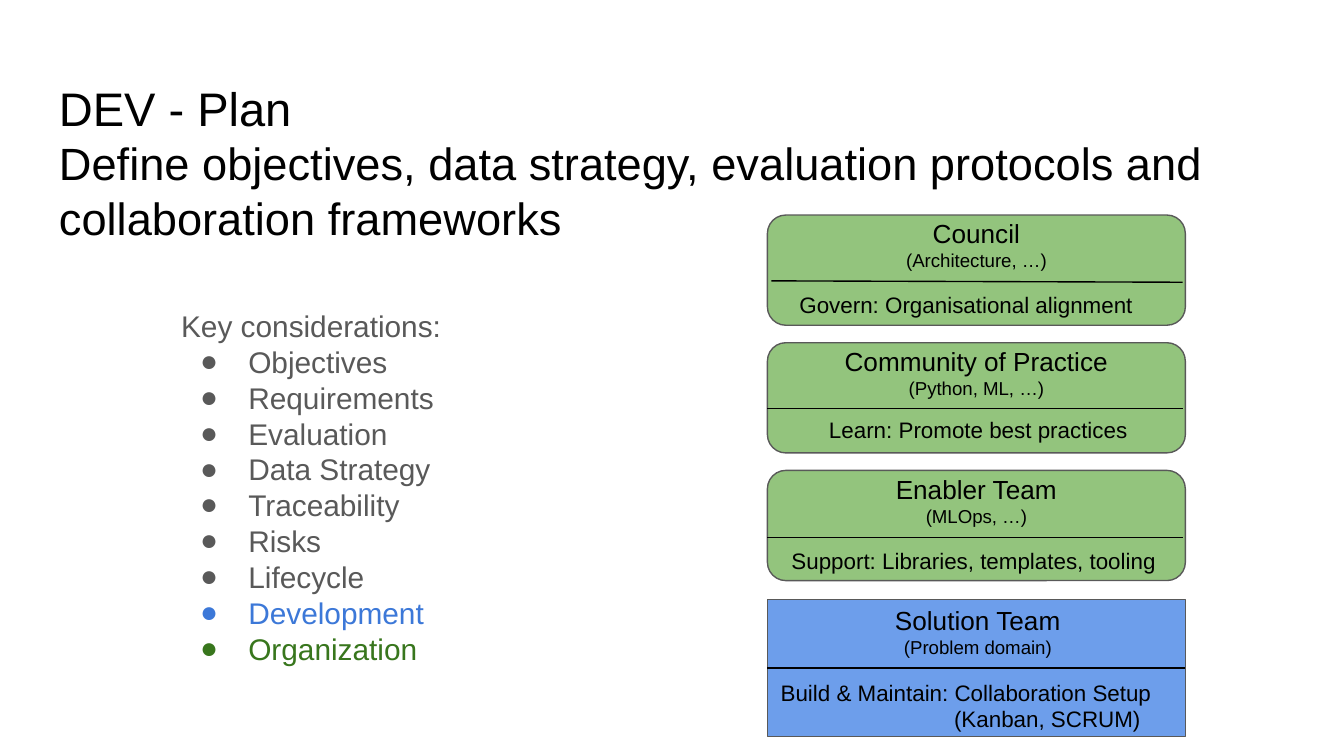
from lxml.etree import SubElement
from pptx import Presentation
from pptx.dml.color import RGBColor
from pptx.enum.shapes import MSO_CONNECTOR as CONNECTOR, MSO_SHAPE as SHAPE
from pptx.enum.text import MSO_ANCHOR as ANCHOR, PP_ALIGN as ALIGN
from pptx.oxml.ns import qn
from pptx.util import Inches, Pt

BLACK, GREY, BLUE, GREEN = "000000", "595959", "3C78D8", "38761D"
rgb = RGBColor.from_string


def write(frame, paragraphs, align=ALIGN.LEFT, anchor=ANCHOR.TOP, top=0.1, bottom=0.1):
    """Fill a frame; each paragraph is a list of (text, size, colour) lines."""
    layout = {
        "word_wrap": True, "vertical_anchor": anchor,
        "margin_left": Inches(0.1), "margin_right": Inches(0.1),
        "margin_top": Inches(top), "margin_bottom": Inches(bottom),
    }
    for name, value in layout.items():
        setattr(frame, name, value)
    for i, lines in enumerate(paragraphs):
        paragraph = frame.add_paragraph() if i else frame.paragraphs[0]
        paragraph.alignment = align
        for j, (text, size, colour) in enumerate(lines):
            if j:
                paragraph.add_line_break()
            run = paragraph.add_run()
            run.text = text
            for name, value in {"name": "Arial", "size": Pt(size)}.items():
                setattr(run.font, name, value)
            run.font.color.rgb = rgb(colour)
    return frame.paragraphs


def divide(shapes, x1, y1, x2, y2):
    """Draw a thin black divider."""
    divider = shapes.add_connector(
        CONNECTOR.STRAIGHT, Inches(x1), Inches(y1), Inches(x2), Inches(y2))
    divider.line.color.rgb = rgb(BLACK)
    divider.line.width = Pt(0.75)
    SubElement(divider._element.spPr, qn("a:effectLst"))


# Widescreen 16:9 slide
deck = Presentation()
deck.slide_width, deck.slide_height = Inches(10), Inches(10) * 9 // 16
slide = deck.slides.add_slide(deck.slide_layouts[6])
shapes = slide.shapes

# Title
title = shapes.add_textbox(Inches(0.34), Inches(0.49), Inches(9.32), Inches(0.63))
write(title.text_frame, [[
    ("DEV - Plan", 25.2, BLACK),
    ("Define objectives, data strategy, evaluation protocols and "
     "collaboration frameworks", 24.2, BLACK),
]])

# Key considerations
topics = [(topic, 16, GREY) for topic in (
    "Objectives", "Requirements", "Evaluation", "Data Strategy",
    "Traceability", "Risks", "Lifecycle")]
topics += [("Development", 16, BLUE), ("Organization", 16, GREEN)]
considerations = shapes.add_textbox(
    Inches(1.25), Inches(2.19), Inches(3.83), Inches(2.92))
entries = write(considerations.text_frame,
                [[line] for line in [("Key considerations:", 16, GREY)] + topics])
for entry, (_, _, colour) in zip(entries[1:], topics):
    props = entry._p.get_or_add_pPr()
    props.set("marL", str(Inches(0.5)))
    props.set("indent", str(Inches(-0.36)))
    SubElement(SubElement(props, qn("a:buClr")), qn("a:srgbClr"), val=colour)
    SubElement(props, qn("a:buFont"), typeface="Arial")
    SubElement(props, qn("a:buChar"), char="●")

# Supporting teams: name, scope, role, role box (left, top, width), divider
teams = [
    ("Council", "(Architecture, …)", "Govern: Organisational alignment",
     (5.85, 2.07, 2.83), (5.74, 2.09, 8.8, 2.1)),
    ("Community of Practice", "(Python, ML, …)", "Learn: Promote best practices",
     (6.07, 3, 2.64), (5.71, 3.04, 8.8, 3.04)),
    ("Enabler Team", "(MLOps, …)", "Support: Libraries, templates, tooling",
     (5.79, 3.97, 2.92), (5.71, 4, 8.8, 4)),
]
cards = []
for i, (name, scope, role, (left, top, width), ends) in enumerate(teams):
    card = shapes.add_shape(SHAPE.ROUNDED_RECTANGLE, Inches(5.71),
                            Inches(1.6 + 0.95 * i), Inches(3.11), Inches(0.82))
    write(card.text_frame, [[(name, 14, BLACK), (scope, 10, BLACK)]],
          ALIGN.CENTER, ANCHOR.MIDDLE, 0, 0.38)
    cards.append((card, "93C47D"))
    divide(shapes, *ends)
    duty = shapes.add_textbox(Inches(left), Inches(top), Inches(width), Inches(0.36))
    write(duty.text_frame, [[(role, 12, BLACK)]])

# Solution team
solution = shapes.add_group_shape()
block = solution.shapes.add_shape(
    SHAPE.RECTANGLE, Inches(5.71), Inches(4.46), Inches(3.11), Inches(1.02))
cards.append((block, "6D9EEB"))
divide(solution.shapes, 5.71, 4.97, 8.82, 4.97)

heading = shapes.add_textbox(Inches(6.07), Inches(4.4), Inches(2.41), Inches(0.7))
write(heading.text_frame,
      [[("Solution Team", 14, BLACK), ("(Problem domain)", 10, BLACK)]], ALIGN.CENTER)

# The second line hangs under "Collaboration"
build = shapes.add_textbox(Inches(5.71), Inches(4.95), Inches(3.12), Inches(0.36))
setup = write(build.text_frame, [[
    ("Build & Maintain: Collaboration Setup", 12, BLACK),
    ("(Kanban, SCRUM)", 12, BLACK)]])
hanging = setup[0]._p.get_or_add_pPr()
hanging.set("marL", str(Inches(1.29)))
hanging.set("indent", str(Inches(-1.29)))

# Card fills and outlines
for card, colour in cards:
    card.shadow.inherit = False
    card.fill.solid()
    card.fill.fore_color.rgb = rgb(colour)
    card.line.color.rgb = rgb(GREY)
    card.line.width = Pt(0.75)

deck.save("out.pptx")
